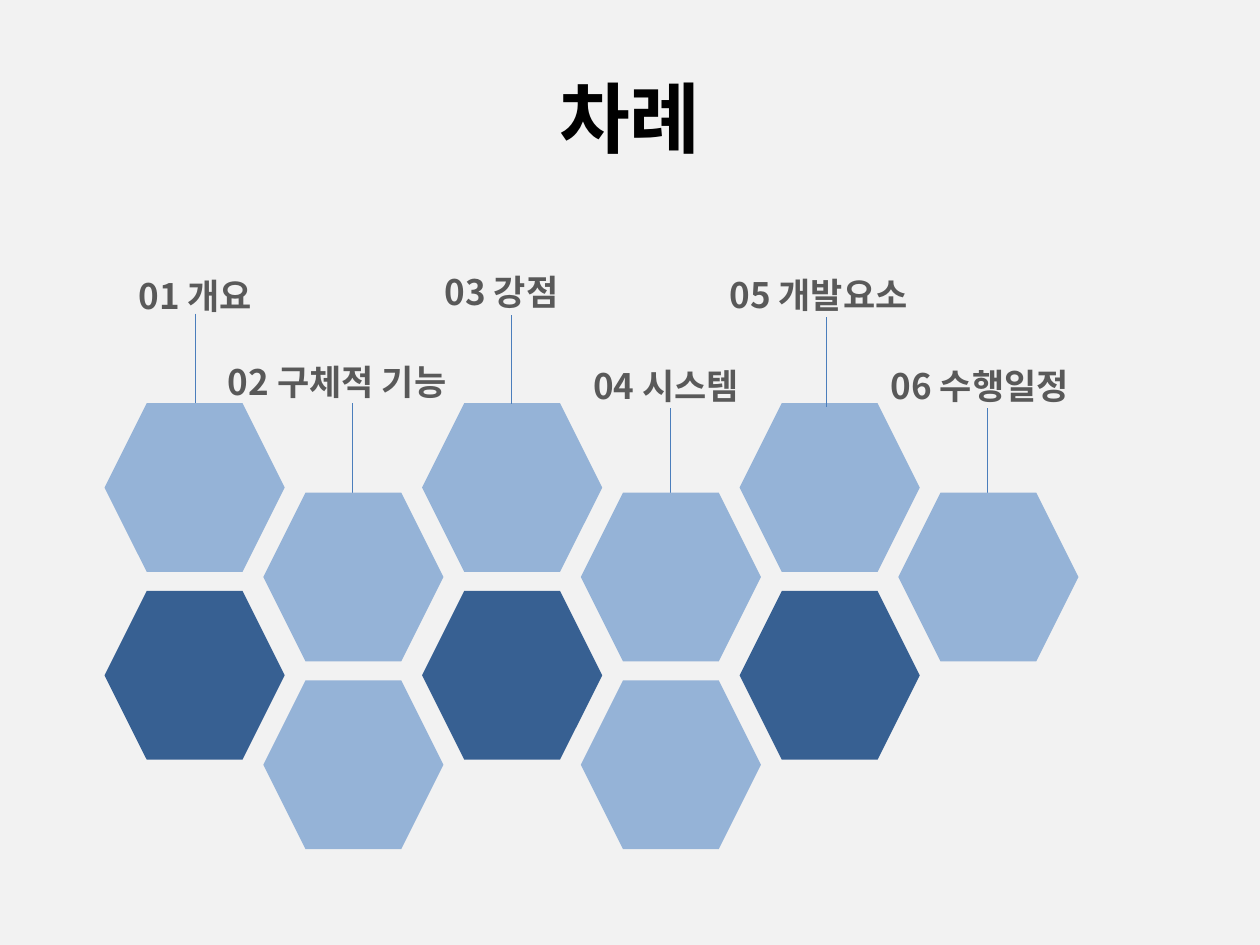
from dataclasses import dataclass

from lxml import etree
from pptx import Presentation
from pptx.dml.color import RGBColor
from pptx.enum.shapes import MSO_CONNECTOR, MSO_SHAPE
from pptx.enum.text import MSO_ANCHOR, MSO_AUTO_SIZE, PP_ALIGN
from pptx.oxml.ns import qn
from pptx.util import Inches, Pt

HEXAGON = MSO_SHAPE.HEXAGON
STRAIGHT = MSO_CONNECTOR.STRAIGHT
MIDDLE = MSO_ANCHOR.MIDDLE
CENTER = PP_ALIGN.CENTER
GROW = MSO_AUTO_SIZE.SHAPE_TO_FIT_TEXT


@dataclass(frozen=True)
class Theme:
    font: str = "Noto Sans CJK KR"
    background: RGBColor = RGBColor(0xF2, 0xF2, 0xF2)
    title: RGBColor = RGBColor(0x00, 0x00, 0x00)
    label: RGBColor = RGBColor(0x59, 0x59, 0x59)
    light: RGBColor = RGBColor(0x95, 0xB3, 0xD7)
    dark: RGBColor = RGBColor(0x37, 0x60, 0x92)
    leader: RGBColor = RGBColor(0x4B, 0x7E, 0xBC)
    title_size: Pt = Pt(44)
    label_size: Pt = Pt(20)
    leader_width: Pt = Pt(0.75)


THEME = Theme()

# Honeycomb geometry in inches, relative to its box
HEX_WIDTH, HEX_HEIGHT = 1.43, 1.34
COLUMN_STEP, ROW_STEP = 1.26, 1.49
ODD_COLUMN_DROP = 0.71
LEADER_LENGTH = 0.71
LABEL_HEIGHT = 0.44
HEX_COUNTS = (2, 2, 2, 2, 2, 1)

# One topic per column: text, label left, top and width, leader x and top
TOPICS = (
    ("01 개요", 0.17, 0.03, 1.19, 0.72, 0.39),
    ("02 구체적 기능", 0.88, 0.71, 2.11, 1.97, 1.10),
    ("03 강점", 2.60, 0.00, 1.19, 3.23, 0.40),
    ("04 시스템", 3.78, 0.74, 1.47, 4.49, 1.14),
    ("05 개발요소", 4.86, 0.02, 1.75, 5.73, 0.42),
    ("06 수행일정", 6.14, 0.74, 1.75, 7.01, 1.14),
)
FIRST_HEX_TOP = 1.10


def write(shape, text, size, color):
    """Put one bold run in the shape, in the theme font for every script."""
    run = shape.text_frame.paragraphs[0].add_run()
    run.text = text
    for name, value in {"name": THEME.font, "size": size, "bold": True}.items():
        setattr(run.font, name, value)
    run.font.color.rgb = color
    east_asian = etree.SubElement(run.font._element, qn("a:ea"))
    east_asian.set("typeface", THEME.font)


def add_title(slide, text, left, top, width, height):
    title = slide.shapes.title
    box = {"left": left, "top": top, "width": width, "height": height}
    for name, value in box.items():
        setattr(title, name, Inches(value))
    title.text_frame.vertical_anchor = MIDDLE
    title.text_frame.paragraphs[0].alignment = CENTER
    write(title, text, THEME.title_size, THEME.title)


def add_hexagon(slide, left, top, color):
    hexagon = slide.shapes.add_shape(
        HEXAGON, Inches(left), Inches(top), Inches(HEX_WIDTH), Inches(HEX_HEIGHT))
    hexagon.shadow.inherit = False
    hexagon.fill.solid()
    hexagon.fill.fore_color.rgb = color
    hexagon.line.fill.background()


def add_leader(slide, x, top):
    leader = slide.shapes.add_connector(
        STRAIGHT, Inches(x), Inches(top), Inches(x), Inches(top + LEADER_LENGTH))
    leader.line.color.rgb = THEME.leader
    leader.line.width = THEME.leader_width
    etree.SubElement(leader._element.spPr, qn("a:effectLst"))


def add_label(slide, text, left, top, width):
    label = slide.shapes.add_textbox(
        Inches(left), Inches(top), Inches(width), Inches(LABEL_HEIGHT))
    label.text_frame.word_wrap = False
    label.text_frame.auto_size = GROW
    write(label, text, THEME.label_size, THEME.label)


def add_honeycomb(slide, left, top):
    """Leaders of the lowered columns go behind the hexagons, others in front."""
    leaders = [(left + topic[4], top + topic[5]) for topic in TOPICS]
    for leader in leaders[1::2]:
        add_leader(slide, *leader)
    for column, count in enumerate(HEX_COUNTS):
        lowered = column % 2
        for row in range(count):
            color = THEME.dark if row and not lowered else THEME.light
            add_hexagon(
                slide,
                left + column * COLUMN_STEP,
                top + FIRST_HEX_TOP + lowered * ODD_COLUMN_DROP + row * ROW_STEP,
                color)
    for leader in leaders[::2]:
        add_leader(slide, *leader)
    for text, label_left, label_top, width, *_ in TOPICS:
        add_label(slide, text, left + label_left, top + label_top, width)


def main():
    deck = Presentation()
    deck.slide_width, deck.slide_height = Inches(10), Inches(7.5)
    slide = deck.slides.add_slide(deck.slide_layouts[5])
    slide.background.fill.solid()
    slide.background.fill.fore_color.rgb = THEME.background
    add_title(slide, "차례", 0.5, 0.3, 9, 1.25)
    add_honeycomb(slide, 0.83, 2.1)
    deck.save("out.pptx")


if __name__ == "__main__":
    main()
